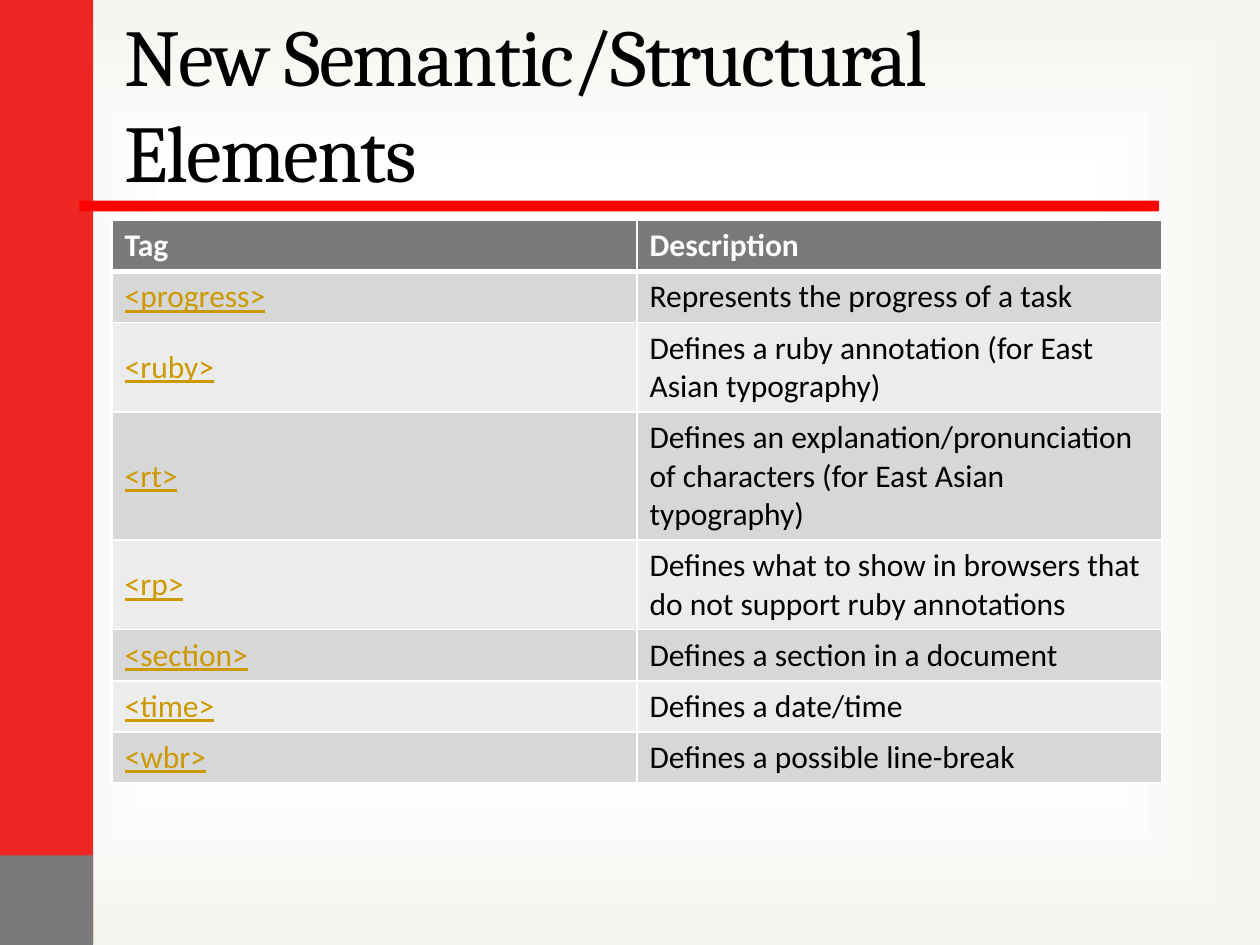
import pptx
import pptx.util
import pptx.dml.color
import pptx.enum.shapes
import pptx.enum.text
import pptx.oxml
import pptx.oxml.ns

Pt = pptx.util.Pt
SHAPE = pptx.enum.shapes.MSO_SHAPE
MIDDLE = pptx.enum.text.MSO_ANCHOR.MIDDLE
COLORS = {
    "red": "EE2624", "rule": "FF0000", "gray": "7A7A7A", "white": "FFFFFF",
    "edge": "F4F4EF", "black": "000000", "link": "CC9900",
    "dark_band": "D7D7D7", "light_band": "ECECEC",
}
ROWS = [
    ("Tag", "Description"),
    ("<progress>", "Represents the progress of a task"),
    ("<ruby>", "Defines a ruby annotation (for East Asian typography)"),
    ("<rt>", "Defines an explanation/pronunciation of characters (for East Asian typography)"),
    ("<rp>", "Defines what to show in browsers that do not support ruby annotations"),
    ("<section>", "Defines a section in a document"),
    ("<time>", "Defines a date/time"),
    ("<wbr>", "Defines a possible line-break"),
]


def color(name):
    return pptx.dml.color.RGBColor.from_string(COLORS[name])


def xml(markup):
    head, tail = markup.split(" ", 1)
    return pptx.oxml.parse_xml(f"{head} {pptx.oxml.ns.nsdecls('a')} {tail}")


def style_span(span, font, size, name):
    span.font.name = font
    span.font.size = Pt(size)
    span.font.color.rgb = color(name)


def set_background(page):
    page.background.fill.gradient()
    old = page.element.find(".//" + pptx.oxml.ns.qn("a:gradFill"))
    stops = "".join(
        f'<a:gs pos="{position}"><a:srgbClr val="{COLORS[name]}"/></a:gs>'
        for position, name in ((0, "white"), (62000, "white"), (100000, "edge"))
    )
    gradient = xml(
        f'<a:gradFill rotWithShape="1"><a:gsLst>{stops}</a:gsLst><a:path path="rect">'
        '<a:fillToRect l="50000" t="50000" r="50000" b="50000"/></a:path></a:gradFill>'
    )
    old.getparent().replace(old, gradient)


def add_block(page, kind, left, top, width, height, name, rotation=0):
    block = page.shapes.add_shape(kind, Pt(left), Pt(top), Pt(width), Pt(height))
    block.rotation = rotation
    block.shadow.inherit = False
    block.fill.solid()
    block.fill.fore_color.rgb = color(name)
    block.line.fill.background()


def set_title(page, text):
    title = page.shapes.title
    title.left, title.top, title.width, title.height = Pt(64), Pt(13.5), Pt(600), Pt(90)
    frame = title.text_frame
    frame.text = text
    frame.word_wrap = True
    frame.auto_size = pptx.enum.text.MSO_AUTO_SIZE.NONE
    frame.vertical_anchor = MIDDLE
    para = frame.paragraphs[0]
    para.alignment = pptx.enum.text.PP_ALIGN.LEFT
    span = para.runs[0]
    style_span(span, "Cambria", 46, "black")
    span.font._element.set("spc", "-100")


def set_borders(cell, bottom, top):
    properties = cell._tc.get_or_add_tcPr()
    for index, (side, width) in enumerate((("L", 1), ("R", 1), ("T", top), ("B", bottom))):
        properties.insert(index, xml(
            f'<a:ln{side} w="{Pt(width)}"><a:solidFill><a:srgbClr val="{COLORS["white"]}"/>'
            f'</a:solidFill></a:ln{side}>'
        ))


def fill_cell(cell, text, row, column):
    header = row == 0
    cell.text = text
    cell.vertical_anchor = MIDDLE
    cell.fill.solid()
    cell.fill.fore_color.rgb = color("gray" if header else ("light_band", "dark_band")[row % 2])
    set_borders(cell, bottom=3 if header else 1, top=3 if row == 1 else 1)
    span = cell.text_frame.paragraphs[0].runs[0]
    style_span(span, "Calibri", 18, "white" if header else ("link", "black")[column])
    span.font.bold = header
    span.font.underline = not header and column == 0


def add_tag_table(page):
    height = 29.2
    table = page.shapes.add_table(
        len(ROWS), 2, Pt(64), Pt(126), Pt(600), Pt(height * len(ROWS))
    ).table
    for row, texts in enumerate(ROWS):
        table.rows[row].height = Pt(height)
        for column, text in enumerate(texts):
            fill_cell(table.cell(row, column), text, row, column)


def main():
    deck = pptx.Presentation()
    deck.slide_width, deck.slide_height = Pt(720), Pt(540)
    page = deck.slides.add_slide(deck.slide_layouts[5])
    set_background(page)
    add_block(page, SHAPE.RECTANGLE, -0.75, -1.5, 54, 540, "red")
    add_block(page, SHAPE.RECTANGLE, -0.75, 488.75, 54, 54, "gray")
    add_block(page, SHAPE.ROUND_2_SAME_RECTANGLE, 350.75, -190.75, 6.25, 617, "rule", 90)
    set_title(page, "New Semantic/Structural Elements")
    add_tag_table(page)
    deck.save("out.pptx")


main()
